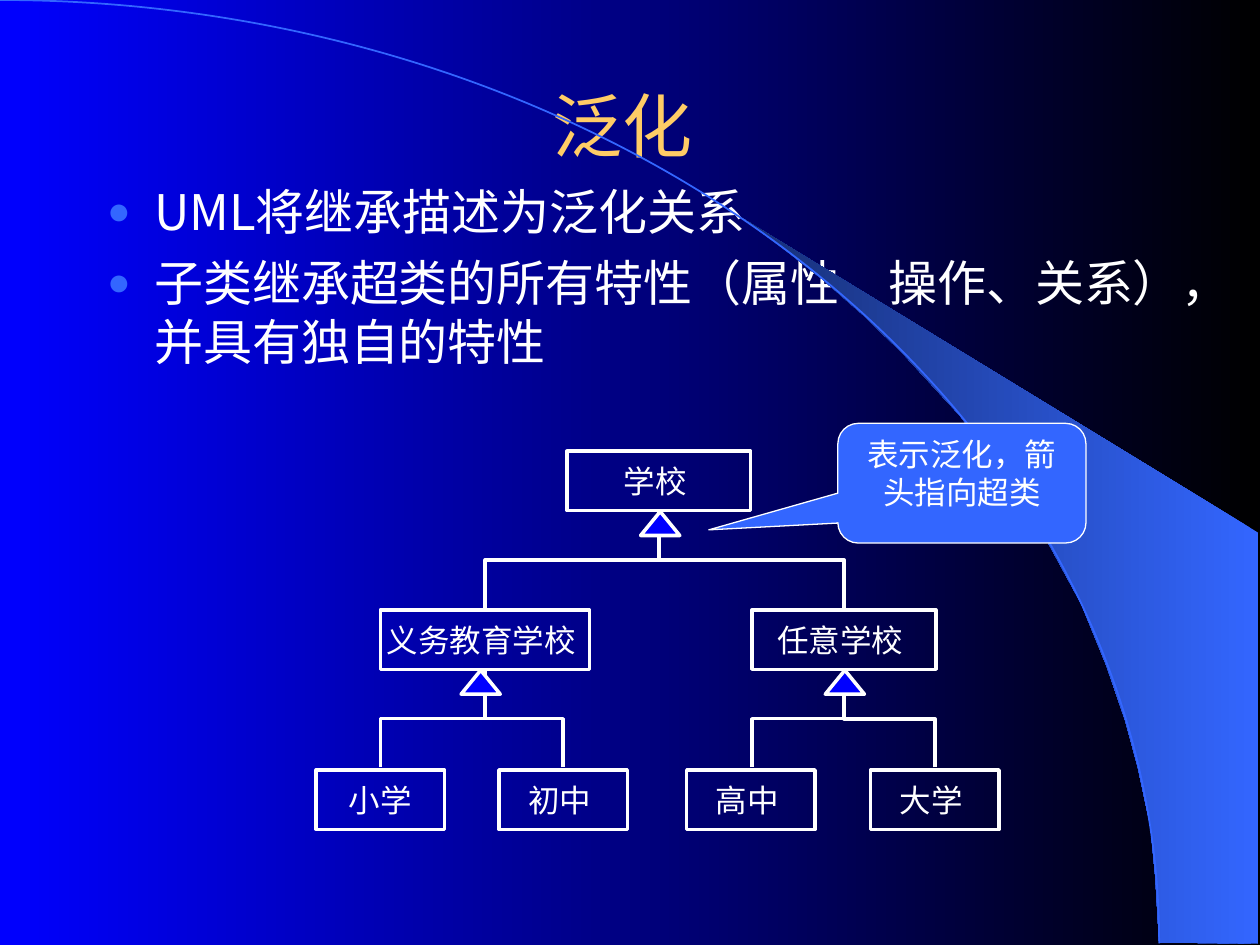
from dataclasses import dataclass

from lxml.etree import SubElement
from pptx import Presentation
from pptx.dml.color import RGBColor
from pptx.enum.shapes import MSO_CONNECTOR, MSO_SHAPE
from pptx.enum.text import MSO_ANCHOR, MSO_AUTO_SIZE, PP_ALIGN
from pptx.oxml.ns import qn
from pptx.util import Pt


@dataclass(frozen=True)
class Theme:
    white: RGBColor = RGBColor.from_string("FFFFFF")
    black: RGBColor = RGBColor.from_string("000000")
    blue: RGBColor = RGBColor.from_string("0000FF")
    accent: RGBColor = RGBColor.from_string("3366FF")
    navy: RGBColor = RGBColor.from_string("172F75")
    gold: RGBColor = RGBColor.from_string("FFCC66")
    title_size: int = 40
    body_size: int = 28
    label_size: int = 18
    font: str = "Noto Sans CJK SC"
    callout_font: str = "Arial"


theme = Theme()


def write_text(shape, lines, size, color, font=theme.font, align=PP_ALIGN.CENTER):
    frame = shape.text_frame
    frame.text = "\n".join(lines)
    frame.auto_size = MSO_AUTO_SIZE.NONE
    for para in frame.paragraphs:
        para.alignment = align
        para.space_before = Pt(0)
        for span in para.runs:
            span.font.size = Pt(size)
            span.font.name = font
            span.font.color.rgb = color
            properties = span.font._element
            SubElement(properties, qn("a:ea")).set("typeface", theme.font)
    return frame


def style_shape(shape, fill, line, width):
    shape.shadow.inherit = False
    if fill is None:
        shape.fill.background()
    else:
        shape.fill.solid()
        shape.fill.fore_color.rgb = fill
    shape.line.color.rgb = line
    shape.line.width = Pt(width)


deck = Presentation()
deck.slide_width, deck.slide_height = Pt(720), Pt(540)
page = deck.slides.add_slide(deck.slide_layouts[1])
shapes = page.shapes

wedge_points = [
    (662.4, 538.6), (719.3, 539.3), (719.3, 304.6), (424.1, 124.6), (449.3, 143.3),
    (470.2, 159.8), (493.2, 180), (515.5, 201.6), (548.6, 237.6), (578.2, 276.5),
    (599, 310.3), (617.8, 344.9), (632.2, 380.2), (643, 411.8), (650.2, 438.5),
    (657.4, 472.3), (660.2, 501.1),
]
points = [(Pt(x), Pt(y)) for x, y in wedge_points]
builder = shapes.build_freeform(*points[0], scale=1.0)
builder.add_line_segments(points[1:], close=True)
wedge = builder.convert_to_shape()
wedge.shadow.inherit = False
wedge.line.fill.background()

page.background.fill.gradient()
wedge.fill.gradient()
for fill, colors in (
    (page.background.fill, (theme.black, theme.blue)),
    (wedge.fill, (theme.accent, theme.navy)),
):
    fill.gradient_angle = 180
    for stop, color, position in zip(fill.gradient_stops, colors, (0, 1)):
        stop.color.rgb = color
        stop.position = position

arc = shapes.add_shape(MSO_SHAPE.ARC, Pt(-662.4), Pt(0), Pt(1324.8), Pt(1078))
style_shape(arc, None, theme.accent, 1)

title = shapes.title
title.left, title.top, title.width, title.height = Pt(54), Pt(48), Pt(612), Pt(46)
write_text(title, ["泛化 "], theme.title_size, theme.gold).vertical_anchor = MSO_ANCHOR.MIDDLE

body = page.placeholders[1]
body.left, body.top, body.width, body.height = Pt(54), Pt(100), Pt(631), Pt(330)
bullets = ["UML将继承描述为泛化关系", "子类继承超类的所有特性（属性、操作、关系），并具有独自的特性"]
frame = write_text(body, bullets, theme.body_size, theme.white, align=PP_ALIGN.LEFT)
frame.vertical_anchor = MSO_ANCHOR.TOP
frame.paragraphs[1].space_before = Pt(7)
for para in frame.paragraphs:
    properties = para._p.get_or_add_pPr()
    properties.set("marL", str(Pt(27)))
    properties.set("indent", str(Pt(-27)))
    bullet_color = SubElement(properties, qn("a:buClr"))
    SubElement(bullet_color, qn("a:srgbClr")).set("val", str(theme.accent))
    SubElement(properties, qn("a:buSzPct")).set("val", "80000")
    SubElement(properties, qn("a:buChar")).set("char", "●")

box_height = 34
root_top, middle_top, leaf_top = 257.8, 348.5, 440
boxes = [
    ("学校 ", 324, root_top, 105),
    ("义务教育学校 ", 217.4, middle_top, 119.5),
    ("任意学校 ", 429.8, middle_top, 105),
    ("小学", 180.7, leaf_top, 73.4),
    ("初中 ", 285.1, leaf_top, 73.4),
    ("高中 ", 392.4, leaf_top, 73.4),
    ("大学 ", 497.5, leaf_top, 73.4),
]
for label, left, top, width in boxes:
    box = shapes.add_shape(MSO_SHAPE.RECTANGLE, Pt(left), Pt(top), Pt(width), Pt(box_height))
    style_shape(box, None, theme.white, 2)
    frame = write_text(box, [label], theme.label_size, theme.white)
    frame.word_wrap = False
    frame.vertical_anchor = MSO_ANCHOR.MIDDLE

branches = [
    (376.6, 377.3, root_top, (277.2, 482.4)),
    (277.2, 274.7, middle_top, (217.4, 321.8)),
    (482.4, 482.8, middle_top, (429.8, 534.2)),
]
rise = 55.5
for parent_x, arrow_x, parent_top, children in branches:
    joint_top = parent_top + box_height + 0.5
    center_y = joint_top + rise / 2
    for child_x in children:
        center_x = (child_x + parent_x) / 2
        side = 1 if child_x < parent_x else -1
        half_run = abs(parent_x - child_x) / 2
        link = shapes.add_connector(
            MSO_CONNECTOR.ELBOW,
            Pt(center_x + side * rise / 2), Pt(center_y + half_run),
            Pt(center_x - side * rise / 2), Pt(center_y - half_run),
        )
        link.line.color.rgb = theme.white
        link.line.width = Pt(2)
        properties = link._element.spPr
        properties.find(qn("a:xfrm")).set("rot", str((90 if side == 1 else 270) * 60000))
        SubElement(properties, qn("a:effectLst"))
    arrow = shapes.add_shape(
        MSO_SHAPE.ISOSCELES_TRIANGLE, Pt(arrow_x - 11.2), Pt(joint_top), Pt(22.4), Pt(13.7)
    )
    style_shape(arrow, theme.blue, theme.white, 2)

callout = shapes.add_shape(
    MSO_SHAPE.ROUNDED_RECTANGULAR_CALLOUT, Pt(478.8), Pt(241.9), Pt(141.8), Pt(68.4)
)
style_shape(callout, theme.accent, theme.white, 0.75)
for index, value in enumerate((-1.02, 0.39, 0.17)):
    callout.adjustments[index] = value
frame = write_text(
    callout, ["表示泛化，箭头指向超类"], theme.label_size, theme.white, theme.callout_font
)
frame.word_wrap = True
frame.vertical_anchor = MSO_ANCHOR.TOP

deck.save("out.pptx")
